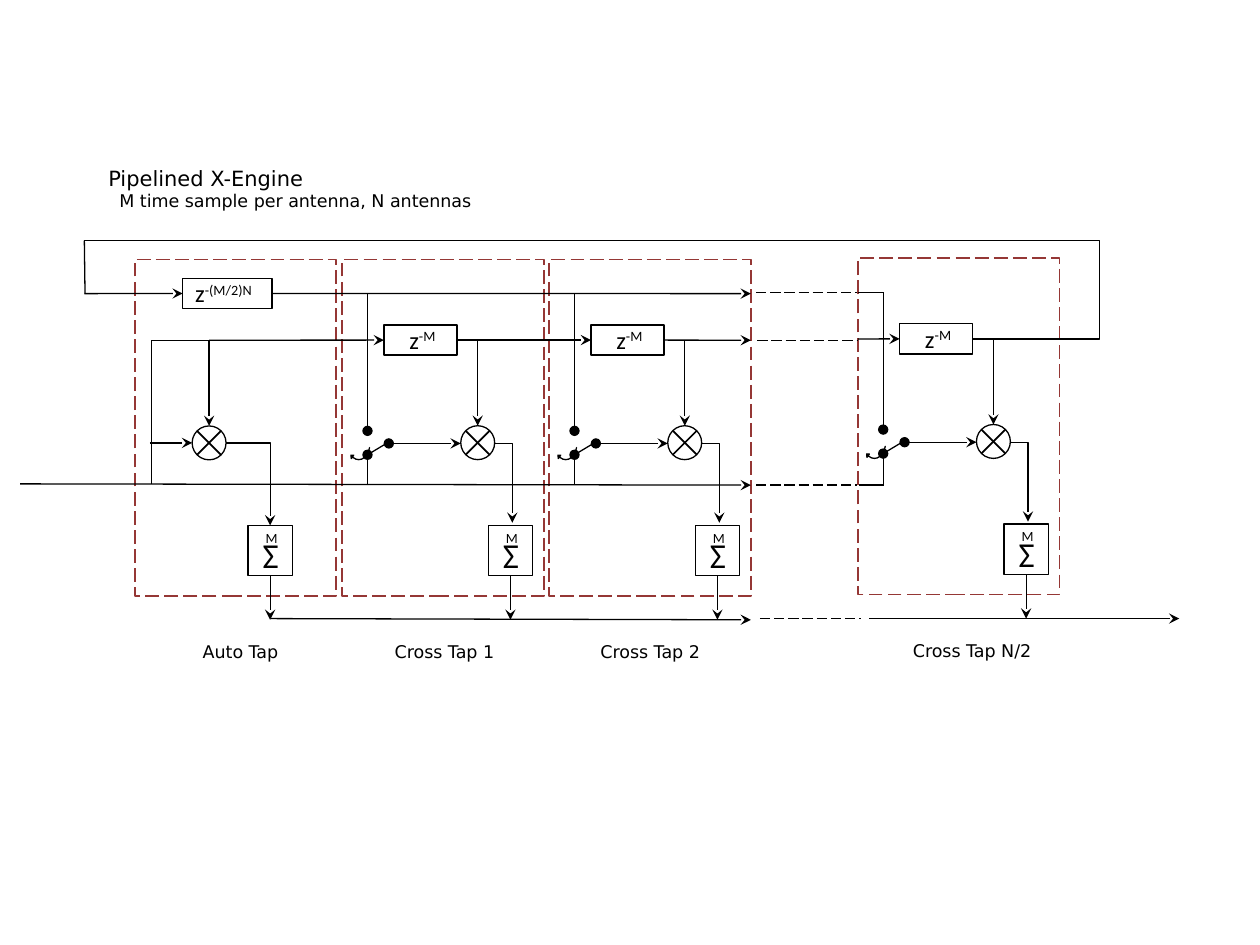
"""Build the pipelined X-engine block diagram slide."""
from lxml import etree
from pptx import Presentation
from pptx.dml.color import RGBColor
from pptx.enum.dml import MSO_LINE
from pptx.enum.shapes import MSO_CONNECTOR, MSO_SHAPE
from pptx.enum.text import MSO_ANCHOR, MSO_AUTO_SIZE, PP_ALIGN
from pptx.oxml.ns import qn
from pptx.util import Pt

RECT, OVAL, ARC = MSO_SHAPE.RECTANGLE, MSO_SHAPE.OVAL, MSO_SHAPE.CIRCULAR_ARROW
STRAIGHT, ELBOW = MSO_CONNECTOR.STRAIGHT, MSO_CONNECTOR.ELBOW
LONG_DASH = MSO_LINE.LONG_DASH
LEFT, CENTER = PP_ALIGN.LEFT, PP_ALIGN.CENTER
FIT, TOP_ANCHOR = MSO_AUTO_SIZE.SHAPE_TO_FIT_TEXT, MSO_ANCHOR.TOP
TOP, LEFT_SIDE, BOTTOM, RIGHT_SIDE = range(4)


def rgb(value):
    return RGBColor.from_string(value)


def apply(obj, values):
    for name, value in values.items():
        setattr(obj, name, value)


class Diagram:
    ink, paper, accent = "000000", "FFFFFF", "953735"
    math_font, label_font = "Calibri", "DejaVu Sans"
    thin, thick = 0.75, 1
    frame_w, frame_h = 115.2, 192.2
    mixer_d = 19.4

    def __init__(self, slide):
        self.s = slide

    def outline(self, sp, color, width, dash=None):
        sp.line.color.rgb = rgb(color)
        apply(sp.line, {"width": Pt(width), "dash_style": dash})

    def shape(self, kind, x, y, w, h, fill=paper, line=ink, width=thin, dash=None):
        sp = self.s.shapes.add_shape(kind, Pt(x), Pt(y), Pt(w), Pt(h))
        sp.shadow.inherit = False
        if fill:
            sp.fill.solid()
            sp.fill.fore_color.rgb = rgb(fill)
        else:
            sp.fill.background()
        self.outline(sp, line, width, dash)
        return sp

    def line(self, x1, y1, x2, y2, head=None, tail=None, width=thin, dash=None,
             start=None, end=None, kind=STRAIGHT):
        c = self.s.shapes.add_connector(kind, Pt(x1), Pt(y1), Pt(x2), Pt(y2))
        if start:
            c.begin_connect(*start)
        if end:
            c.end_connect(*end)
        self.outline(c, self.ink, width, dash)
        spPr = c._element.spPr
        for tag, mark in (("a:headEnd", head), ("a:tailEnd", tail)):
            if mark:
                etree.SubElement(spPr.find(qn("a:ln")), qn(tag), type=mark)
        etree.SubElement(spPr, qn("a:effectLst"))
        return c

    def arrow(self, x1, y1, x2, y2, **kw):
        return self.line(x1, y1, x2, y2, tail="stealth", **kw)

    def corner(self, x1, y1, x2, y2):
        c = self.arrow(x1, y1, x2, y2, kind=ELBOW)
        c._element.spPr.find(qn("a:prstGeom")).set("prst", "bentConnector2")

    def run(self, p, text, size, font, base=None):
        r = p.add_run()
        r.text = text
        apply(r.font, {"size": Pt(size), "name": font, "bold": False})
        r.font.color.rgb = rgb(self.ink)
        if base:
            r.font._element.set("baseline", str(base))

    def text(self, x, y, w, h, text, size, font=math_font, sup=None, align=LEFT, wrap=False):
        tf = self.s.shapes.add_textbox(Pt(x), Pt(y), Pt(w), Pt(h)).text_frame
        apply(tf, {"word_wrap": wrap, "auto_size": FIT})
        p = tf.paragraphs[0]
        p.alignment = align
        self.run(p, text, size, font)
        if sup:
            self.run(p, sup, size, font, 30000)

    def title(self, x, y, w, h, heading, note):
        sp = self.s.shapes.title
        apply(sp, {"left": Pt(x), "top": Pt(y), "width": Pt(w), "height": Pt(h)})
        tf = sp.text_frame
        apply(tf, {"word_wrap": False, "auto_size": FIT, "vertical_anchor": TOP_ANCHOR})
        for p, text, size, indent in ((tf.paragraphs[0], heading, 12, 0),
                                      (tf.add_paragraph(), note, 10, 6.3)):
            p.alignment = LEFT
            p._p.get_or_add_pPr().set("marL", str(Pt(indent)))
            self.run(p, text, size, self.label_font)

    def frame(self, x, y, label, dx, w):
        self.shape(RECT, x, y, self.frame_w, self.frame_h, None, self.accent, self.thick, LONG_DASH)
        self.text(x + dx, y + 214.6, w, 19.4, label, 10, self.label_font, align=CENTER)

    def mixer(self, x, y):
        d = self.mixer_d
        near, far = 2.9, d - 2.9
        self.shape(OVAL, x, y, d, d)
        for y1, y2 in ((near, far), (far, near)):
            self.line(x + near, y + y1, x + far, y + y2, width=self.thick)
        self.arrow(x + d / 2, y - 48.9, x + d / 2, y)

    def delay(self, x, y, w, power, inset, text_w, wrap=False):
        sp = self.shape(RECT, x, y, w, 17.3)
        self.text(x + inset, y - 3.6, text_w, 24.5, "z", 14, sup=power, wrap=wrap)
        return sp

    def accumulator(self, x, y):
        w, h = 25.2, 28.8
        sp = self.shape(RECT, x, y, w, h)
        self.text(x + 1.2, y + 1.4, 23.8, 31.7, "Σ", 20)
        self.text(x + 2.9, y - 1.4, 21.6, 17.3, "M", 8)
        self.arrow(x + w / 2, y + h, x + w / 2, y + 54, start=(sp, BOTTOM))

    def switch(self, x, y):
        pole, mid, low = x + 14.4, y + 105.1, y + 111.6
        self.line(pole, y + 128.9, pole, low, tail="oval")
        self.line(pole, y + 19.4, pole, y + 97.9, tail="oval")
        self.line(x + 25.2, mid, pole, low)
        self.line(x + 67.7, mid, x + 26.6, mid, head="stealth", tail="oval")
        sp = self.shape(ARC, x - 0.7, y + 97.9, 20.2, 15.1, self.ink)
        sp.rotation = 270
        for i, value in enumerate((0, 5.36, 123.69, 64.8, 0.08)):
            sp.adjustments[i] = value

    def cross_tap(self, x, y, label, dx, w):
        self.frame(x, y, label, dx, w)
        self.switch(x, y)
        self.mixer(x + 67.7, y + 95)
        self.corner(x + 87.1, y + 105.1, x + 97.2, y + 150.5)
        self.accumulator(x + 83.5, y + 151.9)
        return self.delay(x + 23.8, y + 37.4, 41.8, "-M", 7.4, 31)

    def feedback(self, x1, y1, x2, y2, adj):
        c = self.line(x1, y1, x2, y2, kind=ELBOW)
        av = c._element.spPr.find(qn("a:prstGeom")).find(qn("a:avLst"))
        etree.SubElement(av, qn("a:gd"), name="adj1", fmla=f"val {adj}")


def main():
    prs = Presentation()
    apply(prs, {"slide_width": Pt(720), "slide_height": Pt(540)})
    d = Diagram(prs.slides.add_slide(prs.slide_layouts[5]))
    d.title(54.7, 90.7, 226.8, 33.8, "Pipelined X-Engine", "M time sample per antenna, N antennas")

    d.frame(77, 148.3, "Auto Tap", 30.2, 60.5)
    d.mixer(109.8, 243.4)
    d.corner(128.9, 253.1, 154.4, 300.2)
    d.accumulator(141.8, 300.2)
    loop = d.delay(104.4, 159.1, 51.1, "-(M/2)N", 0, 51.1, wrap=True)
    first, second, last = [d.cross_tap(*tap) for tap in (
        (195.6, 148.3, "Cross Tap 1", 20.9, 74.9),
        (313.9, 148.3, "Cross Tap 2", 20.2, 74.9),
        (490.3, 147.6, "Cross Tap N/2", 22.3, 85.7))]

    upper, middle, lower, output, stop = 167.8, 194.4, 277.2, 353.5, 429.1
    d.arrow(48.2, upper, 104.4, upper, end=(loop, LEFT_SIDE))
    d.arrow(155.5, upper, stop, upper, start=(loop, RIGHT_SIDE))
    d.arrow(119.5, middle, 219.4, middle, end=(first, LEFT_SIDE))
    d.arrow(261.2, middle, 337.7, middle, start=(first, RIGHT_SIDE), end=(second, LEFT_SIDE))
    d.arrow(379.5, middle, stop, middle, start=(second, RIGHT_SIDE))
    d.arrow(490.3, 193.7, 514.1, 193.7, end=(last, LEFT_SIDE))
    d.feedback(555.9, 193.7, 48.2, 137.5, -14300)
    for wire in ((11.5, 276.5, stop, lower), (85.7, 253.1, 109.8, 253.1),
                 (154.8, output, stop, 354.2), (496.8, output, 673.9, output)):
        d.arrow(*wire)
    for wire in ((48.2, 137.5, 48.6, upper), (86.4, middle, 86.4, 276.5),
                 (86.4, middle, 119.5, middle), (490.3, 167, 504.7, 167),
                 (491, lower, 505.1, lower)):
        d.line(*wire)
    for x, y in ((432, 167), (432.7, middle), (432, lower), (434.2, output)):
        d.line(x, y, x + 57.6, y, dash=LONG_DASH)
    prs.save("out.pptx")


if __name__ == "__main__":
    main()
